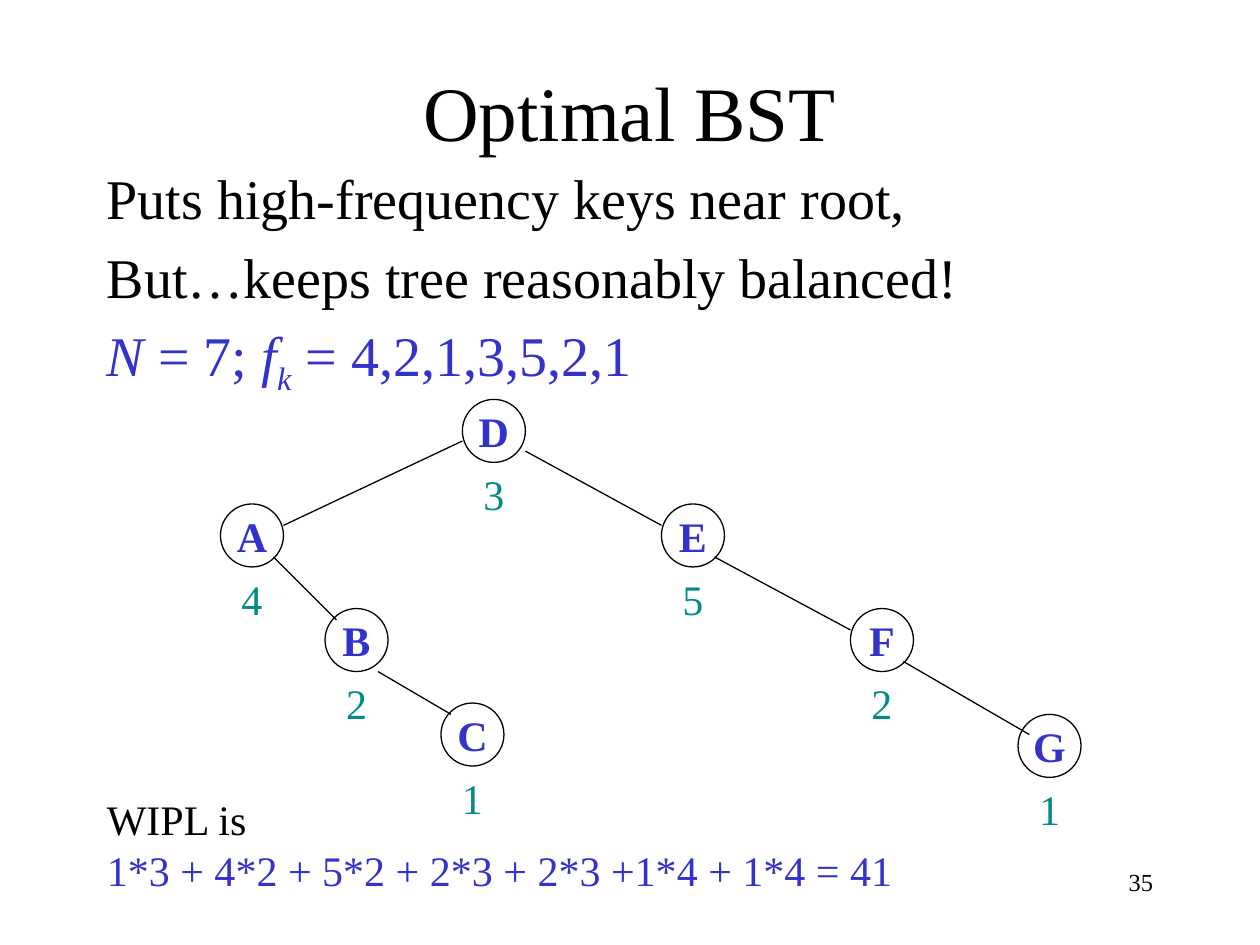
from pptx import Presentation
from pptx.dml.color import RGBColor
from pptx.enum.shapes import MSO_CONNECTOR, MSO_SHAPE
from pptx.enum.text import MSO_ANCHOR, PP_ALIGN
from pptx.oxml.ns import qn
from pptx.util import Inches, Pt
from lxml.etree import SubElement

BLACK, BLUE, TEAL = "000000", "3333CC", "008C87"
NODE = 0.5
LABEL_W = 0.37

# Content: a paragraph is a list of (text, format) runs
TITLE = [[("Optimal BST", {})]]
BODY = [
    [("Puts high-frequency keys near root,", {})],
    [("But…keeps tree reasonably balanced!", {})],
    [("N", {"italic": True, "color": BLUE}),
     (" = 7; ", {"color": BLUE}),
     ("f", {"italic": True, "color": BLUE}),
     ("k", {"italic": True, "color": BLUE, "baseline": -25000}),
     (" = 4,2,1,3,5,2,1", {"color": BLUE})],
]
WIPL = [
    [("WIPL is", {})],
    [("1*3 + 4*2 + 5*2 + 2*3 + 2*3 +1*4 + 1*4 = 41", {"color": BLUE})],
]
PAGE = [[("35", {})]]

# key: (frequency, left, top)
NODES = {
    "D": (3, 3.67, 3.17),
    "E": (5, 5.25, 4),
    "F": (2, 6.75, 4.83),
    "G": (1, 8.08, 5.67),
    "A": (4, 1.75, 4),
    "B": (2, 2.58, 4.83),
    "C": (1, 3.5, 5.58),
}
# (x1, y1, x2, y2), parent to child
EDGES = [
    (4.17, 3.58, 5.25, 4.17),  # D-E
    (5.67, 4.42, 6.75, 5),     # E-F
    (7.17, 5.25, 8.17, 5.83),  # F-G
    (3.67, 3.5, 2.25, 4.17),   # D-A
    (2.17, 4.42, 2.67, 4.92),  # A-B
    (3, 5.33, 3.58, 5.67),     # B-C
]


def rgb(value):
    return RGBColor.from_string(value)


def write(shape, paragraphs, size, align=PP_ALIGN.LEFT, anchor=MSO_ANCHOR.TOP,
          wrap=True, gap=0):
    tf = shape.text_frame
    tf.word_wrap, tf.vertical_anchor = wrap, anchor
    for i, runs in enumerate(paragraphs):
        p = tf.paragraphs[0] if i == 0 else tf.add_paragraph()
        p.alignment = align
        p.space_before = Pt(gap if i else 0)
        for text, changes in runs:
            r = p.add_run()
            r.text = text
            fmt = {"name": "Times New Roman", "size": Pt(size), **changes}
            r.font.color.rgb = rgb(fmt.pop("color", BLACK))
            baseline = fmt.pop("baseline", None)
            if baseline:
                r._r.get_or_add_rPr().set("baseline", str(baseline))
            for name, value in fmt.items():
                setattr(r.font, name, value)


def add_text(s, box, paragraphs, size, **layout):
    tb = s.shapes.add_textbox(*map(Inches, box))
    write(tb, paragraphs, size, **layout)


def add_node(s, key, frequency, left, top):
    circle = s.shapes.add_shape(MSO_SHAPE.OVAL, *map(Inches, (left, top, NODE, NODE)))
    circle.shadow.inherit = False
    circle.fill.background()
    circle.line.color.rgb = rgb(BLACK)
    circle.line.width = Pt(0.75)
    write(circle, [[(key, {"bold": True, "color": BLUE})]], 24,
          align=PP_ALIGN.CENTER, anchor=MSO_ANCHOR.MIDDLE, wrap=False)
    # Frequency centred under the circle
    box = (left + (NODE - LABEL_W) / 2, top + NODE, LABEL_W, 0.5)
    add_text(s, box, [[(str(frequency), {"color": TEAL})]], 24,
             align=PP_ALIGN.CENTER, wrap=False)


def add_edge(s, ends):
    line = s.shapes.add_connector(MSO_CONNECTOR.STRAIGHT, *map(Inches, ends))
    line.line.color.rgb = rgb(BLACK)
    line.line.width = Pt(0.75)
    SubElement(line._element.spPr, qn("a:effectLst"))


def main():
    prs = Presentation()
    prs.slide_width, prs.slide_height = Inches(10), Inches(7.5)
    s = prs.slides.add_slide(prs.slide_layouts[6])

    # Page number, title and body text
    add_text(s, (7.17, 6.83, 2.08, 0.5), PAGE, 14, align=PP_ALIGN.RIGHT)
    add_text(s, (0.75, 0.25, 8.5, 1.25), TITLE, 44,
             align=PP_ALIGN.CENTER, anchor=MSO_ANCHOR.MIDDLE)
    add_text(s, (0.75, 1.25, 8.5, 5), BODY, 32, gap=6.4)

    # Tree
    for key, place in NODES.items():
        add_node(s, key, *place)
    for ends in EDGES:
        add_edge(s, ends)

    # Weighted internal path length
    add_text(s, (0.75, 6.25, 6.43, 0.9), WIPL, 24, wrap=False)

    prs.save("out.pptx")


if __name__ == "__main__":
    main()
